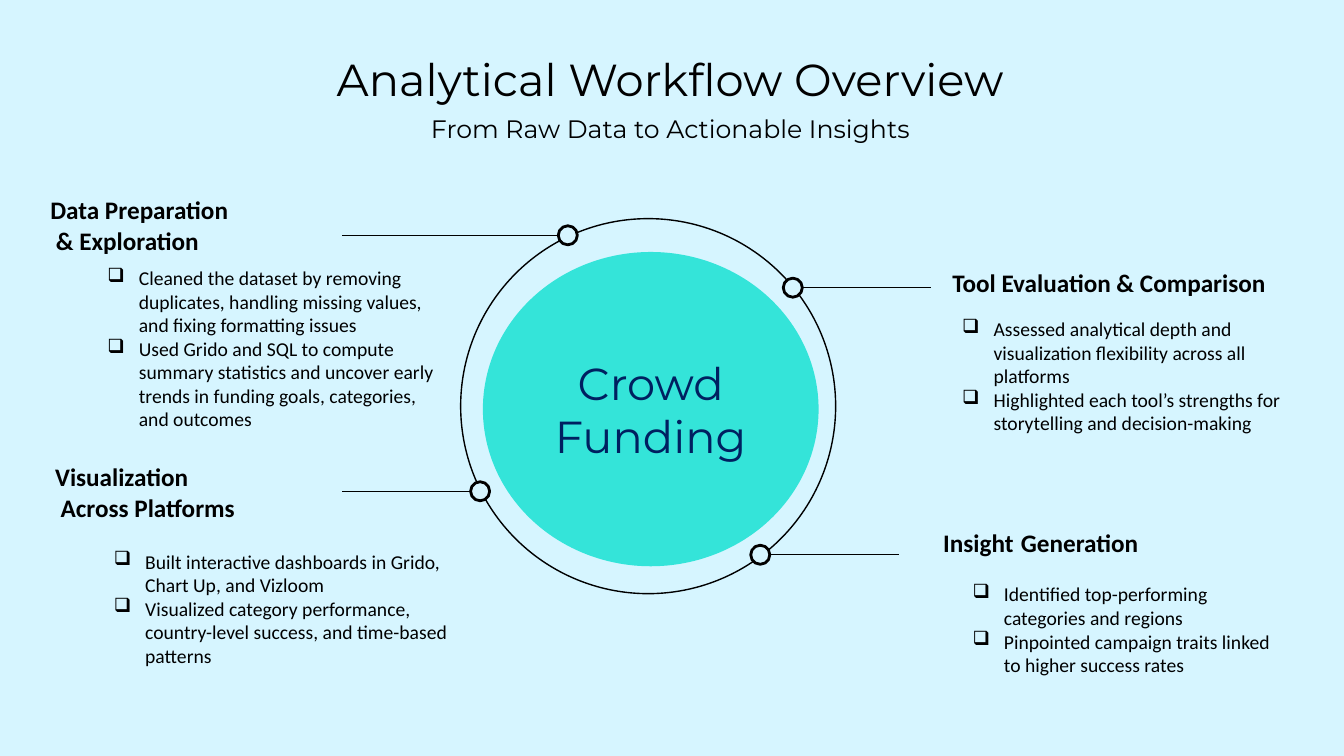
import pptx
import pptx.dml.color
import pptx.enum.shapes
import pptx.enum.text
import pptx.oxml.ns
import pptx.util
from lxml import etree

Cm, Pt = pptx.util.Cm, pptx.util.Pt
ALIGN = pptx.enum.text.PP_ALIGN

COLORS = {"background": "D6F5FF", "disc": "34E4D9", "ink": "000000", "hub": "002060"}
FORMATS = {
    "title": {"name": "Montserrat", "size": Pt(32), "bold": False},
    "subtitle": {"name": "Montserrat", "size": Pt(18), "bold": False},
    "heading": {"name": "Calibri", "size": Pt(18), "bold": True},
    "heading gap": {"name": "Montserrat", "size": Pt(20), "bold": False},
    "body": {"name": "Calibri", "size": Pt(14), "bold": False},
}
MARKER = 0.48
HANGING = 0.79
LINE_OFFSET = 0.14

# Each stage: heading box, heading lines, bullet box, bullet texts
STAGES = [
    ((23.75, 6.6, 8.71, 1.02), ["Tool Evaluation & Comparison"],
     (24, 7.87, 9.32, 3.84),
     ["Assessed analytical depth and visualization flexibility across all platforms",
      "Highlighted each tool’s strengths for storytelling and decision-making"]),
    ((23.52, 13.08, 8.31, 1.88), [("Insight", "Generation")],
     (24.26, 14.55, 8.31, 2.64),
     ["Identified top-performing categories and regions",
      "Pinpointed campaign traits linked to higher success rates"]),
    ((1.02, 4.78, 6.81, 1.8), ["Data Preparation", "& Exploration"],
     (2.46, 6.58, 9.07, 4.45),
     ["Cleaned the dataset by removing duplicates, handling missing values, "
      "and fixing formatting issues",
      "Used Grido and SQL to compute summary statistics and uncover early trends "
      "in funding goals, categories, and outcomes"]),
    ((1.14, 11.51, 9.07, 1.8), ["Visualization", "Across Platforms"],
     (2.62, 13.72, 9.07, 3.25),
     ["Built interactive dashboards in Grido, Chart Up, and Vizloom",
      "Visualized category performance, country-level success, and time-based patterns"]),
]
# Each branch: marker left, marker top, far end of its line
BRANCHES = [(19.74, 7.01, 23.47), (18.92, 13.74, 22.66),
            (14.07, 5.69, 8.61), (11.86, 12.14, 8.61)]


def rgb(color):
    return pptx.dml.color.RGBColor.from_string(COLORS[color])


def add_run(paragraph, text, style, color="ink"):
    run = paragraph.add_run()
    run.text = text
    for attribute, value in FORMATS[style].items():
        setattr(run.font, attribute, value)
    run.font.color.rgb = rgb(color)


def next_paragraph(frame, index):
    return frame.paragraphs[0] if index == 0 else frame.add_paragraph()


def indent(paragraph, left, first=0):
    properties = paragraph._p.get_or_add_pPr()
    properties.set("marL", str(Cm(left)))
    properties.set("indent", str(Cm(first)))
    return properties


def add_frame(slide, box):
    frame = slide.shapes.add_textbox(*map(Cm, box)).text_frame
    frame.word_wrap = True
    frame.auto_size = pptx.enum.text.MSO_AUTO_SIZE.SHAPE_TO_FIT_TEXT
    return frame


def add_centered(slide, box, text, style):
    paragraph = add_frame(slide, box).paragraphs[0]
    paragraph.alignment = ALIGN.CENTER
    add_run(paragraph, text, style)


def add_heading(slide, box, lines):
    """Write heading lines; a tuple is two words with a wider gap between them."""
    frame = add_frame(slide, box)
    for index, line in enumerate(lines):
        paragraph = next_paragraph(frame, index)
        if index:
            indent(paragraph, LINE_OFFSET)
        if isinstance(line, tuple):
            first, second = line
            add_run(paragraph, first, "heading")
            add_run(paragraph, " ", "heading gap")
            add_run(paragraph, second, "heading")
        else:
            add_run(paragraph, line, "heading")


def add_bullets(slide, box, texts):
    frame = add_frame(slide, box)
    qn = pptx.oxml.ns.qn
    for index, text in enumerate(texts):
        paragraph = next_paragraph(frame, index)
        properties = indent(paragraph, HANGING, -HANGING)
        bullet_color = etree.SubElement(properties, qn("a:buClr"))
        etree.SubElement(bullet_color, qn("a:srgbClr"), val=COLORS["ink"])
        etree.SubElement(properties, qn("a:buChar"), char="❑")
        add_run(paragraph, text, "body")


def add_ellipse(slide, box, fill=None, line_width=None):
    ellipse = slide.shapes.add_shape(pptx.enum.shapes.MSO_SHAPE.OVAL, *map(Cm, box))
    ellipse.shadow.inherit = False
    if fill:
        ellipse.fill.solid()
        ellipse.fill.fore_color.rgb = rgb(fill)
    else:
        ellipse.fill.background()
    if line_width:
        ellipse.line.color.rgb = rgb("ink")
        ellipse.line.width = Pt(line_width)
    else:
        ellipse.line.fill.background()
    return ellipse


def add_hub(slide):
    disc = add_ellipse(slide, (12.17, 6.35, 8.46, 7.92), fill="disc")
    frame = disc.text_frame
    frame.word_wrap = True
    frame.vertical_anchor = pptx.enum.text.MSO_ANCHOR.MIDDLE
    for index, word in enumerate(["Crowd", "Funding"]):
        paragraph = next_paragraph(frame, index)
        paragraph.alignment = ALIGN.CENTER
        add_run(paragraph, word, "title", "hub")
    add_ellipse(slide, (11.61, 5.51, 9.45, 9.45), line_width=1)


def add_branch(slide, left, top, end):
    """Draw a marker on the ring and a line from its outer side."""
    add_ellipse(slide, (left, top, MARKER, MARKER), "background", 2)
    start = left + MARKER if end > left else left
    middle = top + MARKER / 2
    line = slide.shapes.add_connector(
        pptx.enum.shapes.MSO_CONNECTOR.STRAIGHT,
        Cm(start), Cm(middle), Cm(end), Cm(middle))
    line.line.color.rgb = rgb("ink")
    line.line.width = Pt(1)
    etree.SubElement(line._element.spPr, pptx.oxml.ns.qn("a:effectLst"))


def main():
    deck = pptx.Presentation()
    deck.slide_width, deck.slide_height = Cm(33.87), Cm(19.05)
    slide = deck.slides.add_slide(deck.slide_layouts[6])
    slide.background.fill.solid()
    slide.background.fill.fore_color.rgb = rgb("background")

    add_centered(slide, (6.86, 1.19, 20.07, 3), "Analytical Workflow Overview", "title")
    add_centered(slide, (6.86, 2.74, 20.07, 1.02),
                 "From Raw Data to Actionable Insights", "subtitle")
    for heading_box, heading, bullet_box, bullets in STAGES:
        add_heading(slide, heading_box, heading)
        add_bullets(slide, bullet_box, bullets)
    add_hub(slide)
    for branch in BRANCHES:
        add_branch(slide, *branch)
    deck.save("out.pptx")


if __name__ == "__main__":
    main()
